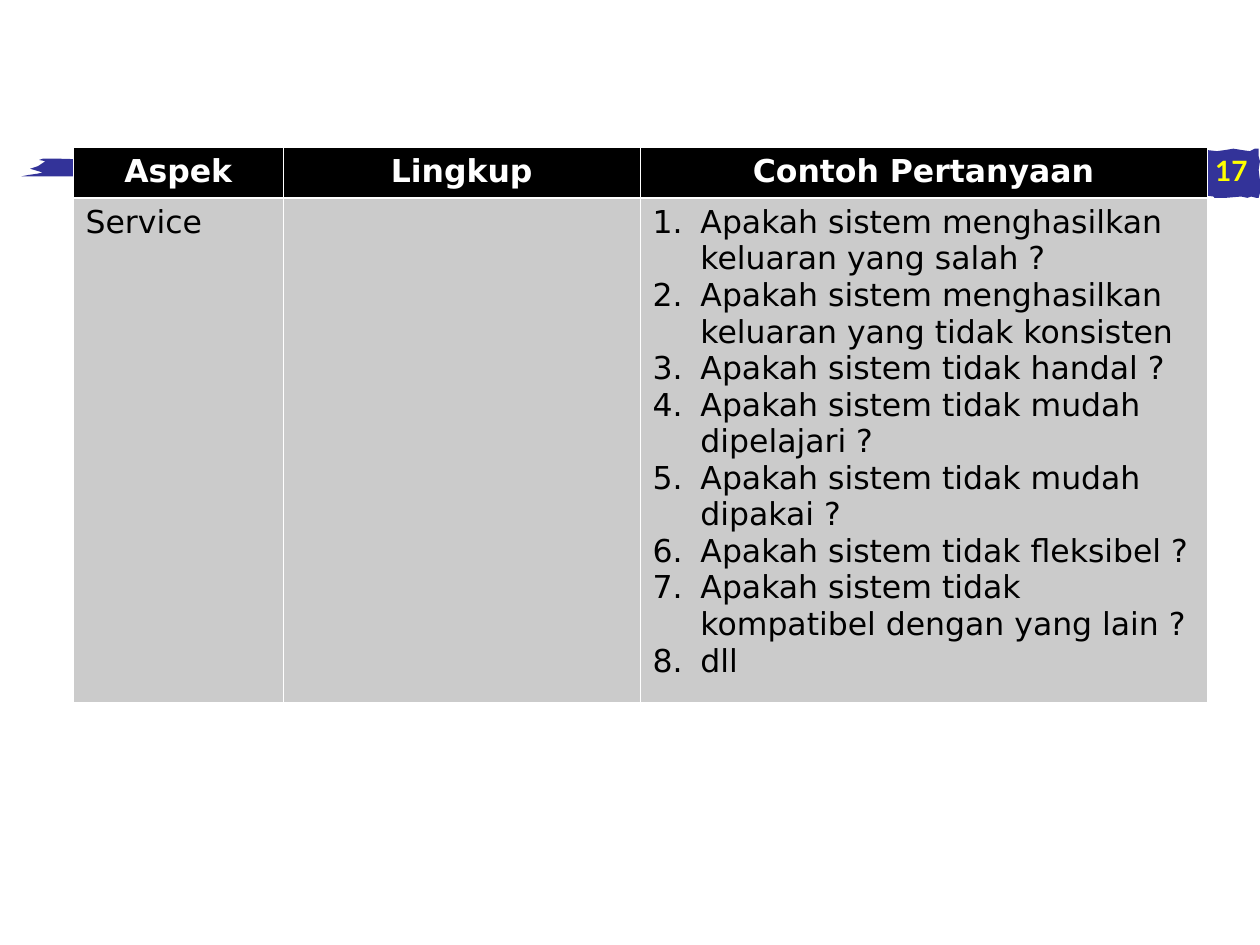
import pptx
import pptx.util
import pptx.dml.color
import pptx.enum.text
import pptx.oxml.ns
from lxml import etree
from pptx.util import Inches


def color(value):
    return pptx.dml.color.RGBColor.from_string(value)


def add_run(paragraph, text, size, font, fill, bold):
    run = paragraph.add_run()
    run.text = text
    run.font.size = pptx.util.Pt(size)
    run.font.name = font
    run.font.bold = bold
    run.font.color.rgb = color(fill)


deck = pptx.Presentation()
deck.slide_width, deck.slide_height = Inches(10), Inches(7.5)
slide = deck.slides.add_slide(deck.slide_layouts[6])

# Brush strokes: page number patch, then the bar behind the table
patch = [
    (9.52, 1.19), (9.54, 1.21), (9.57, 1.19), (9.66, 1.2), (9.73, 1.19),
    (9.79, 1.18), (9.85, 1.19), (9.92, 1.2), (9.96, 1.18), (9.99, 1.18),
    (9.99, 1.24), (10, 1.28), (9.99, 1.35), (10, 1.43), (10, 1.53),
    (9.99, 1.57), (9.97, 1.57), (9.93, 1.56), (9.9, 1.57), (9.85, 1.56),
    (9.73, 1.57), (9.67, 1.57), (9.64, 1.57), (9.63, 1.56), (9.56, 1.55),
    (9.52, 1.54), (9.5, 1.54), (9.51, 1.48), (9.5, 1.4), (9.51, 1.2),
]
bar = [
    (0.47, 1.26), (0.82, 1.27), (0.98, 1.26), (7.9, 1.26), (7.99, 1.25),
    (8.48, 1.26), (8.45, 1.28), (8.55, 1.29), (8.5, 1.31), (8.45, 1.33),
    (8.52, 1.36), (8.58, 1.38), (8.5, 1.4), (8.48, 1.41), (2.94, 1.42),
    (1.19, 1.4), (0.43, 1.4), (0.2, 1.4), (0.17, 1.4), (0.22, 1.39),
    (0.29, 1.38), (0.34, 1.37), (0.24, 1.34), (0.3, 1.32), (0.36, 1.28),
    (0.31, 1.27), (0.34, 1.26),
]
for outline in (patch, bar):
    points = [(Inches(x), Inches(y)) for x, y in outline]
    builder = slide.shapes.build_freeform(*points[0])
    builder.add_line_segments(points[1:], close=True)
    stroke = builder.convert_to_shape()
    stroke.shadow.inherit = False
    stroke.fill.solid()
    stroke.fill.fore_color.rgb = color("333399")
    stroke.line.fill.background()

# Page number
page_number = slide.shapes.add_textbox(Inches(9.5), Inches(1.17), Inches(0.5), Inches(0.35))
page_number.text_frame.word_wrap = True
page_line = page_number.text_frame.paragraphs[0]
page_line.alignment = pptx.enum.text.PP_ALIGN.RIGHT
add_run(page_line, "17", 16, "Lato", "FFFF00", True)

# Table contents
headings = ["Aspek", "Lingkup", "Contoh Pertanyaan"]
questions = [
    "Apakah sistem menghasilkan keluaran yang salah ?",
    "Apakah sistem menghasilkan keluaran yang tidak konsisten",
    "Apakah sistem tidak handal ?",
    "Apakah sistem tidak mudah dipelajari ?",
    "Apakah sistem tidak mudah dipakai ?",
    "Apakah sistem tidak fleksibel ?",
    "Apakah sistem tidak kompatibel dengan yang lain ?",
    "dll",
]
rows = [[[heading] for heading in headings], [["Service"], [], questions]]

aspects = slide.shapes.add_table(
    2, 3, Inches(0.58), Inches(1.17), Inches(9), Inches(4.4)).table
for column, width in zip(aspects.columns, (1.67, 2.83, 4.5)):
    column.width = Inches(width)
for row, height in zip(aspects.rows, (0.4, 4)):
    row.height = Inches(height)

qn = pptx.oxml.ns.qn
for r, row in enumerate(rows):
    header = r == 0
    for c, lines in enumerate(row):
        cell = aspects.cell(r, c)
        cell.margin_left = cell.margin_right = Inches(0.1)
        cell.margin_top = cell.margin_bottom = Inches(0.05)

        # White borders, heavier between header and body
        properties = cell._tc.get_or_add_tcPr()
        heavy = "lnB" if header else "lnT"
        for side in ("lnL", "lnR", "lnT", "lnB"):
            width = pptx.util.Pt(1.47 if side == heavy else 0.45)
            border = etree.SubElement(properties, qn("a:" + side), w=str(int(width)))
            paint = etree.SubElement(border, qn("a:solidFill"))
            etree.SubElement(paint, qn("a:srgbClr"), val="FFFFFF")
        cell.fill.solid()
        cell.fill.fore_color.rgb = color("000000" if header else "CBCBCB")

        # Text, numbered in the questions cell
        for i, line in enumerate(lines):
            frame = cell.text_frame
            paragraph = frame.add_paragraph() if i else frame.paragraphs[0]
            if header:
                paragraph.alignment = pptx.enum.text.PP_ALIGN.CENTER
            if lines is questions:
                layout = paragraph._p.get_or_add_pPr()
                layout.set("marL", str(Inches(0.38)))
                layout.set("indent", str(-Inches(0.38)))
                number_color = etree.SubElement(layout, qn("a:buClr"))
                etree.SubElement(number_color, qn("a:srgbClr"), val="000000")
                etree.SubElement(layout, qn("a:buFont"), typeface="DejaVu Sans")
                etree.SubElement(layout, qn("a:buAutoNum"), type="arabicPeriod")
            add_run(paragraph, line, 18, "DejaVu Sans",
                    "FFFFFF" if header else "000000", header)

deck.save("out.pptx")
